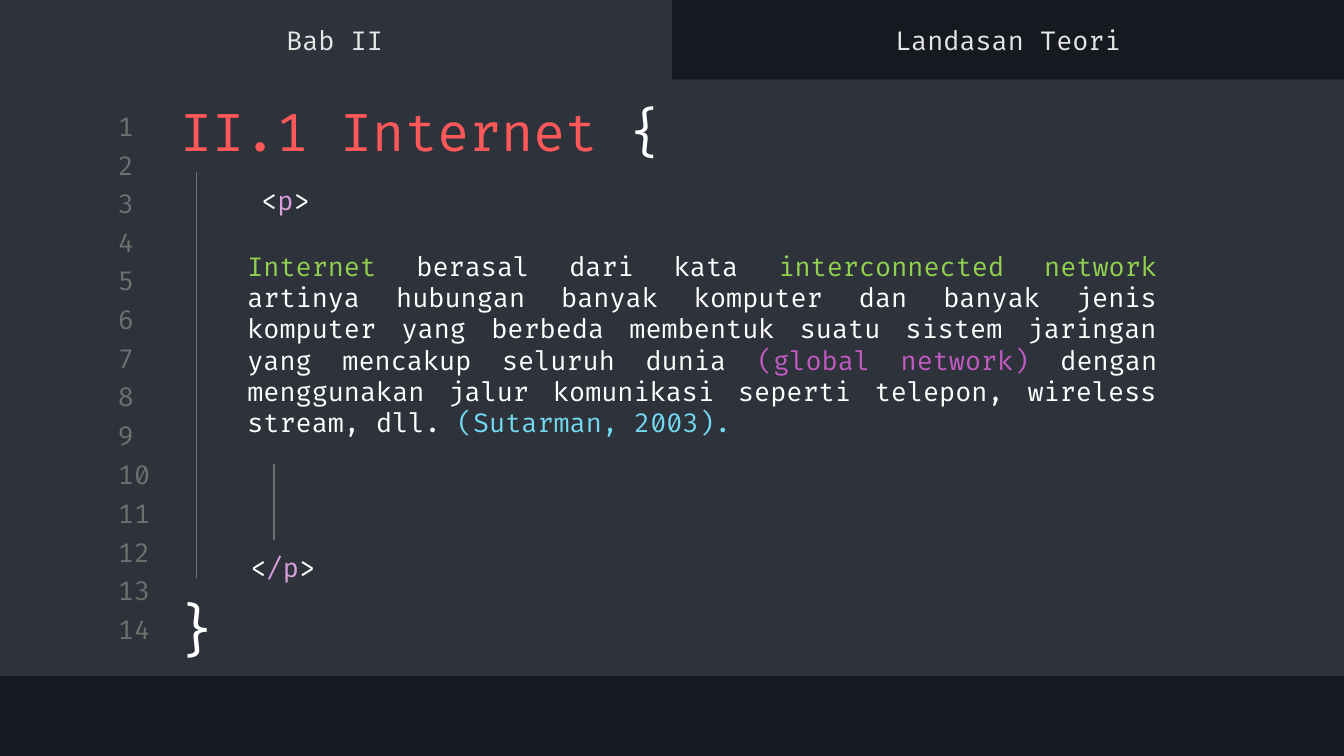
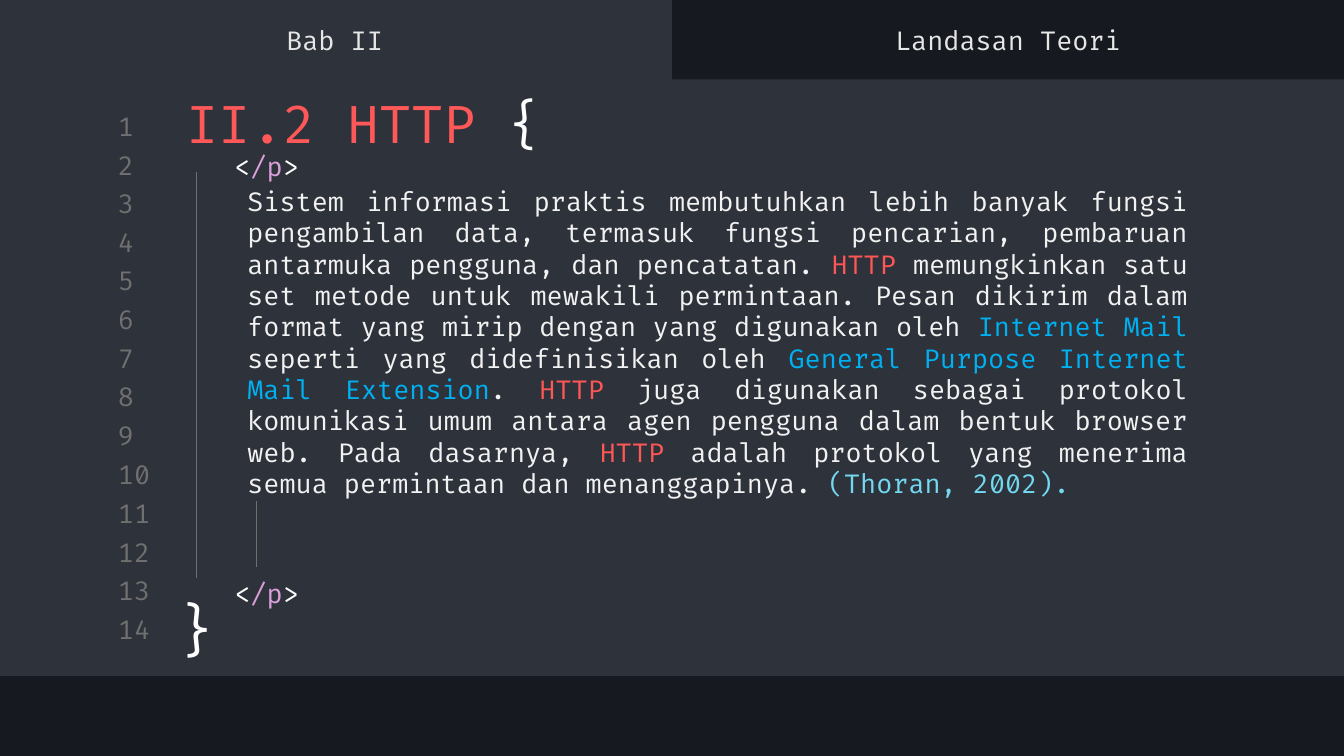
from lxml.etree import SubElement
from pptx import Presentation
from pptx.dml.color import RGBColor as Rgb
from pptx.enum.shapes import MSO_CONNECTOR as Link, MSO_SHAPE as Kind
from pptx.enum.text import MSO_ANCHOR as Anchor, MSO_AUTO_SIZE as Fit, PP_ALIGN as Align
from pptx.oxml.ns import qn
from pptx.util import Pt

PX = 4572
WIDE, HIGH = 2000, 1125
FONT = "Fira Code"
INSET = 20
LINES = 14
HEX = {
    "back": "16191F", "panel": "2E323B", "grey": "707070", "tab": "E7E7E7",
    "white": "FFFFFF", "pale": "F2F2F2", "red": "FF5858", "coral": "FF5656",
    "green": "92D050", "plum": "C15BC1", "pink": "DBA0DB",
    "cyan": "72D9F0", "blue": "00B0F0",
}

NET = [
    ("Internet ", "green"),
    ("berasal dari kata ", "white"),
    ("interconnected network ", "green"),
    ("artinya hubungan banyak komputer dan banyak jenis komputer yang berbeda "
     "membentuk suatu sistem jaringan yang mencakup seluruh dunia ", "white"),
    ("(global network) ", "plum"),
    ("dengan menggunakan jalur komunikasi seperti telepon, wireless stream, dll. ", "white"),
    ("(Sutarman, 2003).", "cyan"),
]
HTTP = [
    ("Sistem informasi praktis membutuhkan lebih banyak fungsi pengambilan data, "
     "termasuk fungsi pencarian, pembaruan antarmuka pengguna, dan pencatatan. ", "pale"),
    ("HTTP ", "coral"),
    ("memungkinkan satu set metode untuk mewakili permintaan. Pesan dikirim dalam "
     "format yang mirip dengan yang digunakan oleh ", "pale"),
    ("Internet Mail ", "blue"),
    ("seperti yang didefinisikan oleh ", "pale"),
    ("General Purpose Internet Mail Extension", "blue"),
    (". ", "pale"),
    ("HTTP ", "coral"),
    ("juga digunakan sebagai protokol komunikasi umum antara agen pengguna dalam "
     "bentuk browser web. Pada dasarnya, ", "pale"),
    ("HTTP ", "coral"),
    ("adalah protokol yang menerima semua permintaan dan menanggapinya. ", "pale"),
    ("(Thoran, 2002).", "cyan"),
]


def tint(name):
    return Rgb.from_string(HEX[name])


def place(shape, box):
    shape.left, shape.top, shape.width, shape.height = (n * PX for n in box)


def write(shape, runs, size=14, align=Align.LEFT, anchor=Anchor.MIDDLE):
    frame = shape.text_frame
    frame.word_wrap = True
    frame.auto_size = Fit.NONE
    frame.vertical_anchor = anchor
    frame.margin_left = frame.margin_right = INSET * PX
    frame.margin_top = frame.margin_bottom = INSET * PX
    para = frame.paragraphs[0]
    para.alignment = align
    para.space_before = Pt(0)
    para.font.name = FONT
    para.font.size = Pt(size)
    para.font.color.rgb = tint(runs[0][1])
    for text, hue in runs:
        run = para.add_run()
        run.text = text
        if len(runs) > 1:
            run.font.color.rgb = tint(hue)


def label(slide, box, runs, **style):
    shape = slide.shapes.add_textbox(*(n * PX for n in box))
    write(shape, runs, **style)
    return shape


def panel(slide, box):
    shape = slide.shapes.add_shape(Kind.RECTANGLE, *(n * PX for n in box))
    shape.shadow.inherit = False
    shape.fill.solid()
    shape.fill.fore_color.rgb = tint("panel")
    shape.line.fill.background()
    return shape


def rule(slide, x, top, end):
    line = slide.shapes.add_connector(Link.STRAIGHT, x * PX, top * PX, x * PX, end * PX)
    line.line.color.rgb = tint("grey")
    line.line.width = Pt(0.75)
    SubElement(line.element.spPr, qn("a:effectLst"))


def tag(slide, box, name):
    runs = [("<", "white"), (name, "pink"), (">", "white")]
    label(slide, box, runs, align=Align.CENTER, anchor=Anchor.TOP)


def dress(deck, layout):
    fill = deck.slide_master.background.fill
    fill.solid()
    fill.fore_color.rgb = tint("back")
    draft = deck.slides[0]
    parts = [panel(draft, (0, 118, WIDE, 888)), panel(draft, (0, 0, 1000, 130))]
    for i in range(LINES):
        top = 163 + round(i * 57.6)
        parts.append(label(draft, (156, top, 94, 48), [(str(i + 1), "grey")]))
    for part in parts:
        layout.shapes.element.append(part.element)


def page(slide, name, spot, body, box):
    head, text = slide.placeholders
    place(head, (*spot, 884, 116))
    write(head, [(name + " ", "red"), ("{", "white")], size=28)
    place(text, box)
    write(text, body, align=Align.JUSTIFY)
    label(slide, (238, 864, 110, 142), [("}", "white")],
          size=30, align=Align.CENTER, anchor=Anchor.TOP)
    rule(slide, 292, 256, 860)
    for x, word in ((-2, "Bab II"), (1000, "Landasan Teori")):
        label(slide, (x, 20, 1000, 78), [(word, "tab")], align=Align.CENTER)


def main():
    deck = Presentation()
    deck.slide_width, deck.slide_height = WIDE * PX, HIGH * PX
    layout = deck.slide_layouts[0]
    first, second = (deck.slides.add_slide(layout) for _ in range(2))
    dress(deck, layout)

    page(first, "II.1 Internet", (248, 136), NET, (348, 342, 1394, 340))
    rule(first, 408, 690, 804)
    tag(first, (352, 254, 146, 88), "p")
    tag(first, (348, 800, 146, 88), "/p")

    page(second, "II.2 HTTP", (258, 124), HTTP, (348, 274, 1440, 470))
    rule(second, 382, 746, 844)
    tag(second, (324, 204, 146, 88), "/p")
    tag(second, (312, 840, 170, 74), "/p")

    deck.save("out.pptx")


if __name__ == "__main__":
    main()
